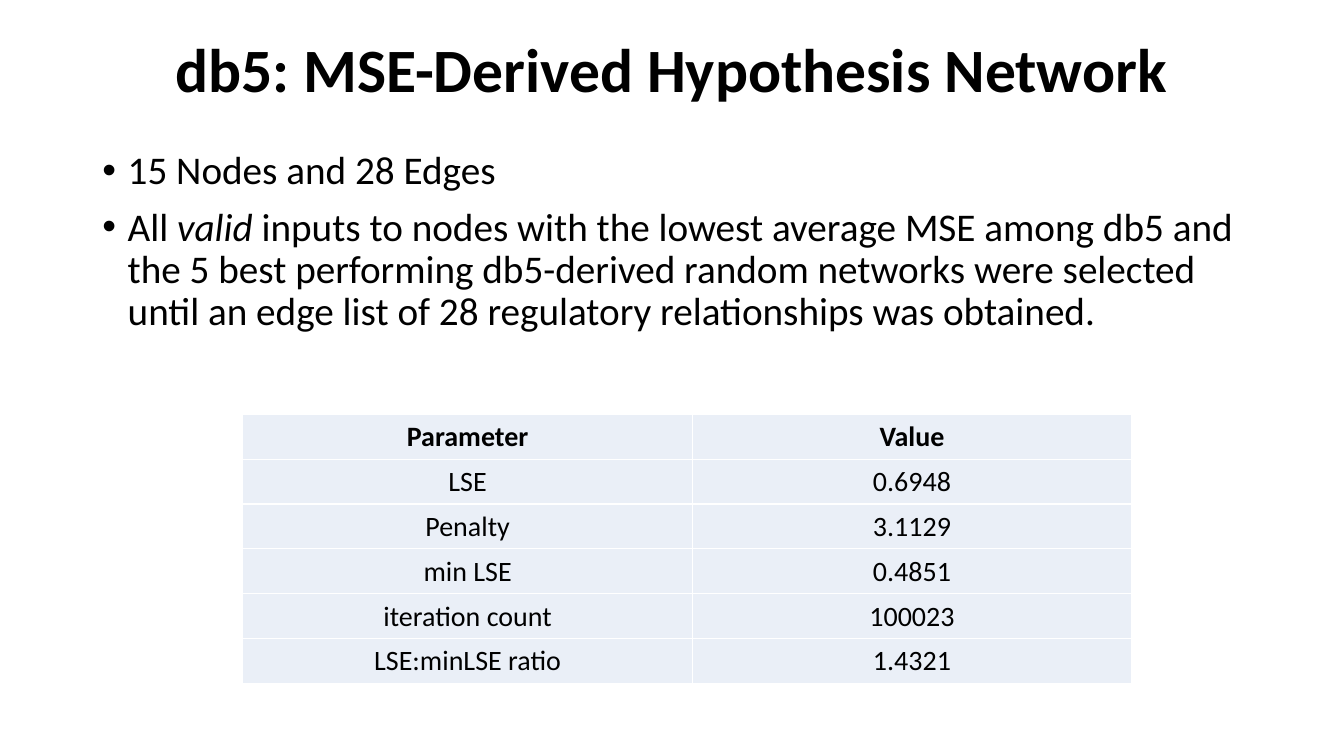
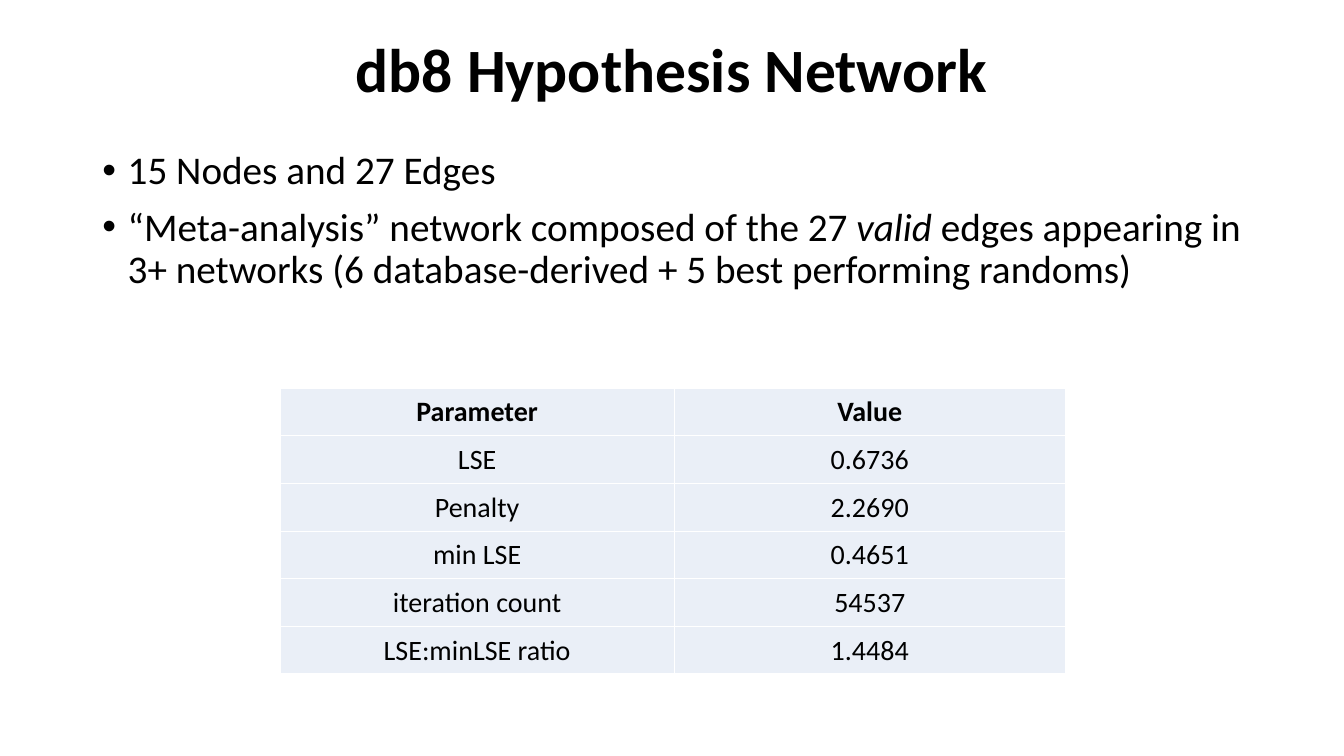
from lxml.etree import SubElement
from pptx import Presentation
from pptx.dml.color import RGBColor
from pptx.enum.text import MSO_ANCHOR, PP_ALIGN
from pptx.oxml.ns import qn
from pptx.util import Cm, Pt

BLACK = RGBColor(0x00, 0x00, 0x00)
WHITE = RGBColor(0xFF, 0xFF, 0xFF)
PALE_BLUE = RGBColor(0xEA, 0xEF, 0xF7)
FONT = "Calibri"
SLIDE_SIZE = (33.87, 19.05)
TITLE_BOX = (2.33, 0, 29.21, 3.68)
BODY_BOX = (2.33, 3.68, 29.21, 15.37)
BULLET_INDENT = Cm(0.64)

TITLE_FONT = {"name": FONT, "size": Pt(44), "bold": True}
BODY_FONT = {"name": FONT, "size": Pt(28)}
CELL_FONT = {"name": FONT, "size": Pt(20)}
TITLE_PARAGRAPH = {"alignment": PP_ALIGN.CENTER, "line_spacing": 0.9}
CELL_FORMAT = {
    "vertical_anchor": MSO_ANCHOR.MIDDLE,
    "margin_left": Cm(0.02),
    "margin_right": Cm(0.02),
    "margin_top": Cm(0.02),
    "margin_bottom": 0,
}
PLAIN_TABLE = {"first_row": False, "horz_banding": False}

PARAMETERS = ("LSE", "Penalty", "min LSE", "iteration count", "LSE:minLSE ratio")
NETWORKS = (
    {
        "title": "db5: MSE-Derived Hypothesis Network",
        "bullets": (
            ("15 Nodes and 28 Edges",),
            ("All ", "valid",
             " inputs to nodes with the lowest average MSE among db5 and the 5 best "
             "performing db5-derived random networks were selected until an edge list "
             "of 28 regulatory relationships was obtained."),
        ),
        "values": ("0.6948", "3.1129", "0.4851", "100023", "1.4321"),
        "results_box": (6.12, 10.44, 22.4, 6.78),
        "parameter_width": 11.33,
    },
    {
        "title": "db8 Hypothesis Network",
        "bullets": (
            ("15 Nodes and 27 Edges",),
            ("“Meta-analysis” network composed of the 27 ", "valid",
             " edges appearing in 3+ networks (6 database-derived + 5 best "
             "performing randoms)"),
        ),
        "values": ("0.6736", "2.2690", "0.4651", "54537", "1.4484"),
        "results_box": (7.06, 9.78, 19.79, 7.21),
        "parameter_width": 9.93,
    },
)


def apply_format(target, settings):
    for attribute, value in settings.items():
        setattr(target, attribute, value)


def add_run(paragraph, text, font_format, **extra):
    run = paragraph.add_run()
    run.text = text
    apply_format(run.font, {**font_format, **extra})
    run.font.color.rgb = BLACK


def add_text_frame(slide, box, anchor):
    frame = slide.shapes.add_textbox(*map(Cm, box)).text_frame
    apply_format(frame, {"word_wrap": True, "vertical_anchor": anchor})
    return frame


def add_title(slide, box, title):
    heading = add_text_frame(slide, box, MSO_ANCHOR.MIDDLE).paragraphs[0]
    apply_format(heading, TITLE_PARAGRAPH)
    add_run(heading, title, TITLE_FONT)


def add_bullet(paragraph):
    properties = paragraph._p.get_or_add_pPr()
    properties.set("marL", str(BULLET_INDENT))
    properties.set("indent", str(-BULLET_INDENT))
    SubElement(properties, qn("a:buFont"), typeface="Arial")
    SubElement(properties, qn("a:buChar"), char="•")


def add_description(slide, box, bullets):
    frame = add_text_frame(slide, box, MSO_ANCHOR.TOP)
    for index, parts in enumerate(bullets):
        paragraph = frame.add_paragraph() if index else frame.paragraphs[0]
        add_bullet(paragraph)
        apply_format(paragraph, {"line_spacing": 0.9,
                                 "space_before": Pt(10 if index else 0)})
        for position, text in enumerate(parts):
            add_run(paragraph, text, BODY_FONT, italic=position == 1)


def add_borders(cell):
    properties = cell._tc.get_or_add_tcPr()
    for side in ("lnL", "lnR", "lnT", "lnB"):
        border = SubElement(properties, qn(f"a:{side}"), w=str(Pt(1)))
        fill = SubElement(border, qn("a:solidFill"))
        SubElement(fill, qn("a:srgbClr"), val=str(WHITE))


def fill_cell(cell, text, bold):
    apply_format(cell, CELL_FORMAT)
    add_borders(cell)
    cell.fill.solid()
    cell.fill.fore_color.rgb = PALE_BLUE
    paragraph = cell.text_frame.paragraphs[0]
    paragraph.alignment = PP_ALIGN.CENTER
    add_run(paragraph, text, CELL_FONT, bold=bold)


def add_results(slide, box, parameter_width, values):
    rows = [("Parameter", "Value"), *zip(PARAMETERS, values)]
    table = slide.shapes.add_table(len(rows), 2, *map(Cm, box)).table
    apply_format(table, PLAIN_TABLE)
    table.columns[0].width = Cm(parameter_width)
    table.columns[1].width = Cm(box[2] - parameter_width)
    for row_index, row in enumerate(rows):
        for column_index, text in enumerate(row):
            fill_cell(table.cell(row_index, column_index), text, row_index == 0)


def add_network_slide(presentation, network):
    slide = presentation.slides.add_slide(presentation.slide_layouts[6])
    add_title(slide, TITLE_BOX, network["title"])
    add_description(slide, BODY_BOX, network["bullets"])
    add_results(slide, network["results_box"], network["parameter_width"],
                network["values"])


def main():
    presentation = Presentation()
    presentation.slide_width, presentation.slide_height = map(Cm, SLIDE_SIZE)
    for network in NETWORKS:
        add_network_slide(presentation, network)
    presentation.save("out.pptx")


if __name__ == "__main__":
    main()
